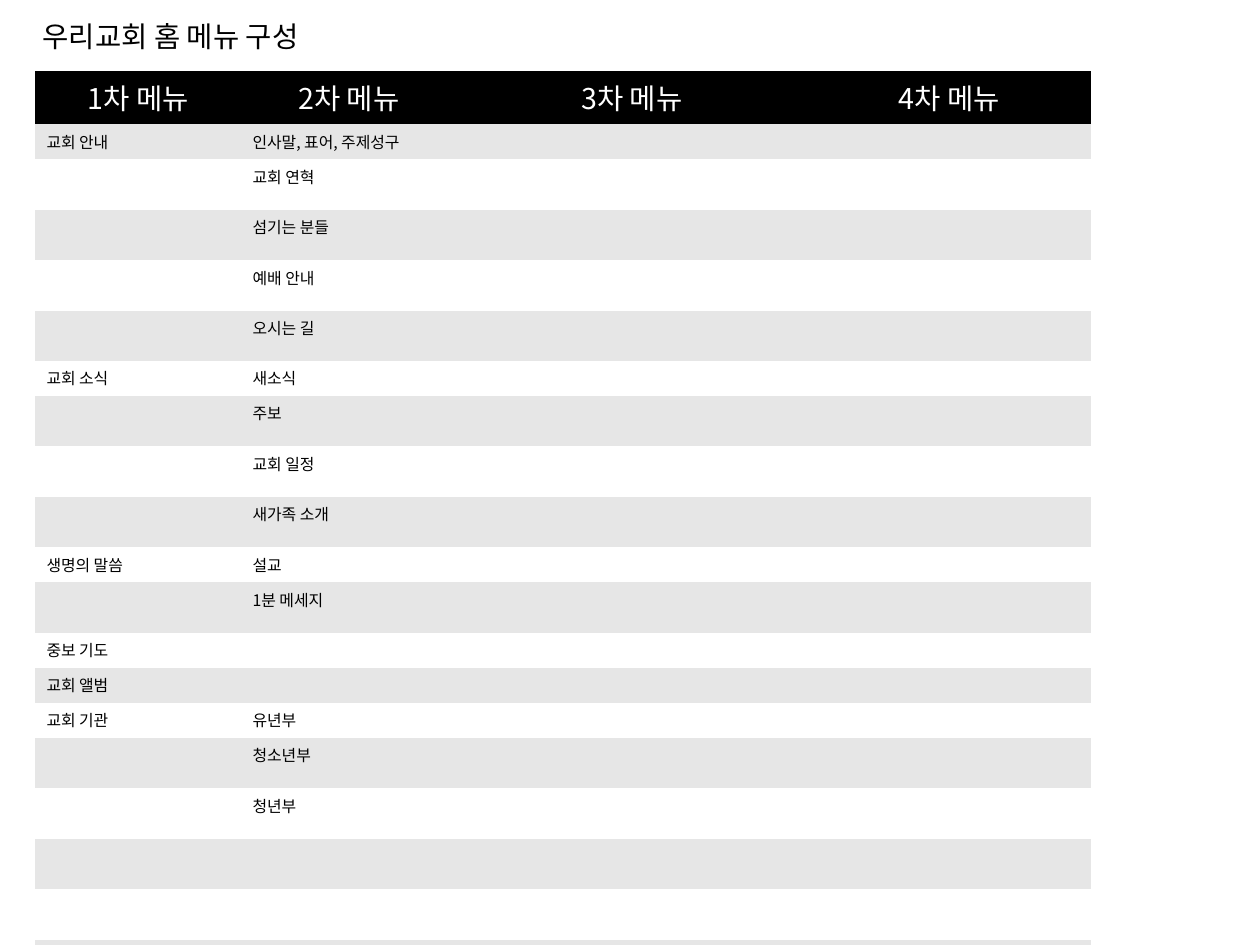
from dataclasses import dataclass

from lxml.etree import SubElement
from pptx import Presentation
from pptx.dml.color import RGBColor
from pptx.enum.text import MSO_AUTO_SIZE, PP_ALIGN
from pptx.oxml.ns import qn
from pptx.util import Cm, Pt


@dataclass(frozen=True)
class Theme:
    """Colours, type sizes and font of the slide."""

    font: str = "Noto Sans CJK KR"
    heading_size: Pt = Pt(18)
    body_size: Pt = Pt(10)
    black: RGBColor = RGBColor(0x00, 0x00, 0x00)
    white: RGBColor = RGBColor(0xFF, 0xFF, 0xFF)
    band: RGBColor = RGBColor(0xE6, 0xE6, 0xE6)


THEME = Theme()
NO_STYLE = "{2D5ABB26-0587-4C30-8999-92F81FD0307C}"
HEADER_HEIGHT, NAMED_HEIGHT, SUB_HEIGHT = Cm(1.19), Cm(0.78), Cm(1.12)
TABLE_HEIGHT = Cm(18.95)
LEVEL_WIDTHS = [Cm(4.58), Cm(4.78), Cm(7.8), Cm(6.3)]
SPARE_ROWS = 10
MENUS = [
    ("교회 안내", ["인사말, 표어, 주제성구", "교회 연혁", "섬기는 분들", "예배 안내", "오시는 길"]),
    ("교회 소식", ["새소식", "주보", "교회 일정", "새가족 소개"]),
    ("생명의 말씀", ["설교", "1분 메세지"]),
    ("중보 기도", [""]),
    ("교회 앨범", [""]),
    ("교회 기관", ["유년부", "청소년부", "청년부"]),
]


def write(frame, text, size, color, align=PP_ALIGN.LEFT):
    """Put one styled line of text in a text frame."""
    line = frame.paragraphs[0]
    line.alignment = align
    line.font.size = size
    line.font.color.rgb = color
    line.font.name = THEME.font
    SubElement(line.font._element, qn("a:ea"), typeface=THEME.font)
    if text:
        line.add_run().text = text
    else:
        SubElement(line._p, qn("a:endParaRPr"), sz=str(int(size.pt * 100)))


def add_title(slide, text):
    """Add the slide title."""
    title = slide.shapes.add_textbox(Cm(0.7), Cm(0.3), Cm(6.78), Cm(1.17))
    title.text_frame.word_wrap = False
    title.text_frame.auto_size = MSO_AUTO_SIZE.SHAPE_TO_FIT_TEXT
    write(title.text_frame, text, THEME.heading_size, THEME.black)


def fill_cell(cell, color):
    """Give a cell a solid background."""
    cell.fill.solid()
    cell.fill.fore_color.rgb = color


def menu_rows():
    """List the first and second level names of every body row."""
    rows = [
        (menu if index == 0 else "", submenu)
        for menu, submenus in MENUS
        for index, submenu in enumerate(submenus)
    ]
    return rows + [("", "")] * SPARE_ROWS


def add_menu_table(slide):
    """Add the banded table of menu levels."""
    rows = menu_rows()
    heights = [HEADER_HEIGHT] + [NAMED_HEIGHT if menu else SUB_HEIGHT for menu, _ in rows]
    frame = slide.shapes.add_table(
        len(heights), len(LEVEL_WIDTHS), Cm(0.78), Cm(1.57), sum(LEVEL_WIDTHS), TABLE_HEIGHT
    )
    table = frame.table
    table._tbl.tblPr.find(qn("a:tableStyleId")).text = NO_STYLE
    for row, height in zip(table.rows, heights):
        row.height = height
    for level, width in enumerate(LEVEL_WIDTHS):
        table.columns[level].width = width
        header = table.cell(0, level)
        fill_cell(header, THEME.black)
        write(header.text_frame, f"{level + 1}차 메뉴", THEME.heading_size, THEME.white, PP_ALIGN.CENTER)
        for number, names in enumerate(rows, start=1):
            cell = table.cell(number, level)
            fill_cell(cell, THEME.band if number % 2 else THEME.white)
            name = names[level] if level < len(names) else ""
            write(cell.text_frame, name, THEME.body_size, THEME.black)
    frame.height = TABLE_HEIGHT


def main():
    """Build and save the slide."""
    deck = Presentation()
    deck.slide_width, deck.slide_height = Cm(28), Cm(21)
    slide = deck.slides.add_slide(deck.slide_layouts[6])
    add_title(slide, "우리교회 홈 메뉴 구성")
    add_menu_table(slide)
    deck.save("out.pptx")


if __name__ == "__main__":
    main()
